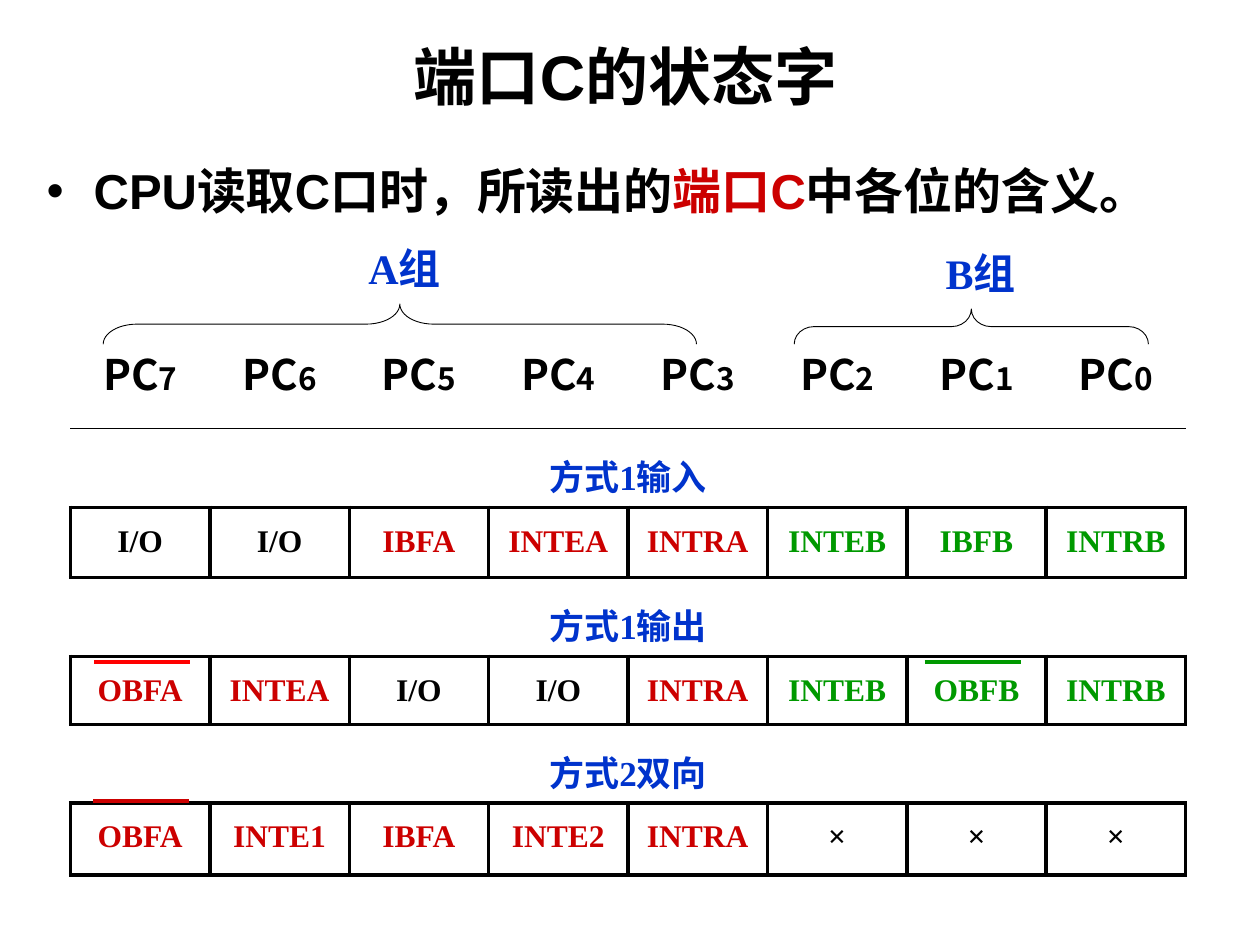
from lxml import etree
from pptx import Presentation
from pptx.dml.color import RGBColor
from pptx.enum.shapes import MSO_CONNECTOR, MSO_SHAPE
from pptx.enum.text import MSO_ANCHOR, PP_ALIGN
from pptx.oxml.ns import qn
from pptx.util import Cm, Pt

COLORS = {"black": "000000", "blue": "0033CC", "red": "CC0000",
          "bright_red": "FF0000", "green": "009900"}
CJK = "Noto Sans CJK SC"
SERIF = "Times New Roman"
SANS = "Arial"


class StatusSlide:
    def __init__(self, prs):
        self.slide = prs.slides.add_slide(prs.slide_layouts[6])

    def color(self, name):
        return RGBColor.from_string(COLORS[name])

    def run(self, p, text, size, font, color="black"):
        r = p.add_run()
        r.text = text
        r.font.size, r.font.name, r.font.bold = Pt(size), font, True
        r.font.color.rgb = self.color(color)
        etree.SubElement(r.font._element, qn("a:ea"), typeface=CJK)

    def text(self, box, runs, size, font, align=PP_ALIGN.CENTER, inset=None,
             anchor=MSO_ANCHOR.TOP, bullet=False):
        tf = self.slide.shapes.add_textbox(*map(Cm, box)).text_frame
        tf.word_wrap = True
        tf.vertical_anchor = anchor
        if inset is not None:
            tf.margin_left = tf.margin_right = Cm(inset)
            tf.margin_top = tf.margin_bottom = Cm(inset)
        p = tf.paragraphs[0]
        p.alignment = align
        if bullet:
            pPr = p._p.get_or_add_pPr()
            pPr.set("marL", str(Cm(0.95)))
            pPr.set("indent", str(Cm(-0.95)))
            etree.SubElement(pPr, qn("a:buFont"), typeface=SANS)
            etree.SubElement(pPr, qn("a:buChar"), char="•")
        for text, color in runs:
            self.run(p, text, size, font, color)

    def brace(self, left, top, width, height, curve):
        """Brace pointing up; its box is turned a quarter about its centre."""
        shift = (width - height) / 2
        sp = self.slide.shapes.add_shape(
            MSO_SHAPE.LEFT_BRACE, Cm(left + shift), Cm(top - shift),
            Cm(height), Cm(width))
        sp.rotation = 90
        sp.adjustments[0], sp.adjustments[1] = curve, 0.5
        sp.shadow.inherit = False
        sp.fill.background()
        sp.line.color.rgb = self.color("black")
        sp.line.width = Pt(0.5)

    def bar(self, left, top, width, color):
        cx = self.slide.shapes.add_connector(
            MSO_CONNECTOR.STRAIGHT, Cm(left), Cm(top), Cm(left + width), Cm(top))
        cx.line.color.rgb = self.color(color)
        cx.line.width = Pt(2.25)
        etree.SubElement(cx._element.spPr, qn("a:effectLst"))

    def borders(self, cell, widths):
        """Draw the sides in widths (points) and hide the others."""
        tcPr = cell._tc.get_or_add_tcPr()
        for side in "LRTB":
            width = widths.get(side)
            ln = etree.SubElement(tcPr, qn(f"a:ln{side}"), w=str(Pt(width or 1)))
            if width:
                fill = etree.SubElement(ln, qn("a:solidFill"))
                etree.SubElement(fill, qn("a:srgbClr"), val=COLORS["black"])
            else:
                etree.SubElement(ln, qn("a:noFill"))

    def table(self, box, heights, rows):
        cols = 8
        table = self.slide.shapes.add_table(len(rows), cols, *map(Cm, box)).table
        table.first_row = table.horz_banding = False
        for col in table.columns:
            col.width = Cm(box[2] / cols)
        for i, (height, (widths, cells)) in enumerate(zip(heights, rows)):
            table.rows[i].height = Cm(height)
            for j in range(cols):
                self.borders(table.cell(i, j), widths)
                table.cell(i, j).fill.background()
            if len(cells) == 1:
                table.cell(i, 0).merge(table.cell(i, cols - 1))
            for j, (runs, spacing) in enumerate(cells):
                p = table.cell(i, j).text_frame.paragraphs[0]
                p.alignment = PP_ALIGN.CENTER
                if spacing:
                    p.line_spacing = spacing
                for run in runs:
                    self.run(p, *run)


def mode_title(text, top=2.25):
    return {"T": top, "B": 2.25}, [([(text, 20, SERIF, "blue")], 1.3)]


def bit_row(names):
    """Group A bits (first five) are red, group B green, free bits black."""
    cells = []
    for i, name in enumerate(names.split()):
        color = "black" if name in ("I/O", "×") else "red" if i < 5 else "green"
        cells.append(([(name, 18, SERIF, color)], 1.3))
    return dict.fromkeys("LRTB", 2.25), cells


def main():
    prs = Presentation()
    prs.slide_width, prs.slide_height = Cm(25.4), Cm(19.05)
    s = StatusSlide(prs)

    # Status word table
    port_bits = [([("PC", 24, CJK), (str(n), 18, CJK)], None)
                 for n in range(7, -1, -1)]
    s.table((1.42, 6.76, 22.48, 10.54),
            (1.88, 1.45, 1.42, 1.47, 1.37, 1.5, 1.45),
            [({"B": 1}, port_bits),
             mode_title("方式1输入", top=1),
             bit_row("I/O I/O IBFA INTEA INTRA INTEB IBFB INTRB"),
             mode_title("方式1输出"),
             bit_row("OBFA INTEA I/O I/O INTRA INTEB OBFB INTRB"),
             mode_title("方式2双向"),
             bit_row("OBFA INTE1 IBFA INTE2 INTRA × × ×")])

    # Title
    s.text((0.51, 0.53, 24.2, 1.96), [("端口C的状态字", "black")], 36, SANS,
           anchor=MSO_ANCHOR.MIDDLE)

    # Group labels and braces
    s.text((6.68, 4.85, 2.95, 1.09), [("A组", "blue")], 24, SERIF, inset=0.03)
    s.brace(2.08, 6.13, 11.96, 0.81, 0.84)
    s.text((18.26, 4.95, 3.02, 1.09), [("B组", "blue")], 24, SERIF, inset=0.03)
    s.brace(16.01, 6.23, 7.14, 0.71, 0.56)

    # Overbars of the active-low signals
    for left, top, color in ((1.9, 13.34, "bright_red"), (1.88, 16.15, "red"),
                             (18.64, 13.34, "green")):
        s.bar(left, top, 1.94, color)

    # Introductory sentence
    s.text((0.69, 3.12, 24, 1.6),
           [("CPU读取C口时，所读出的", "black"), ("端口C", "red"),
            ("中各位的含义。", "black")],
           28, SANS, align=PP_ALIGN.LEFT, bullet=True)

    prs.save("out.pptx")


if __name__ == "__main__":
    main()
